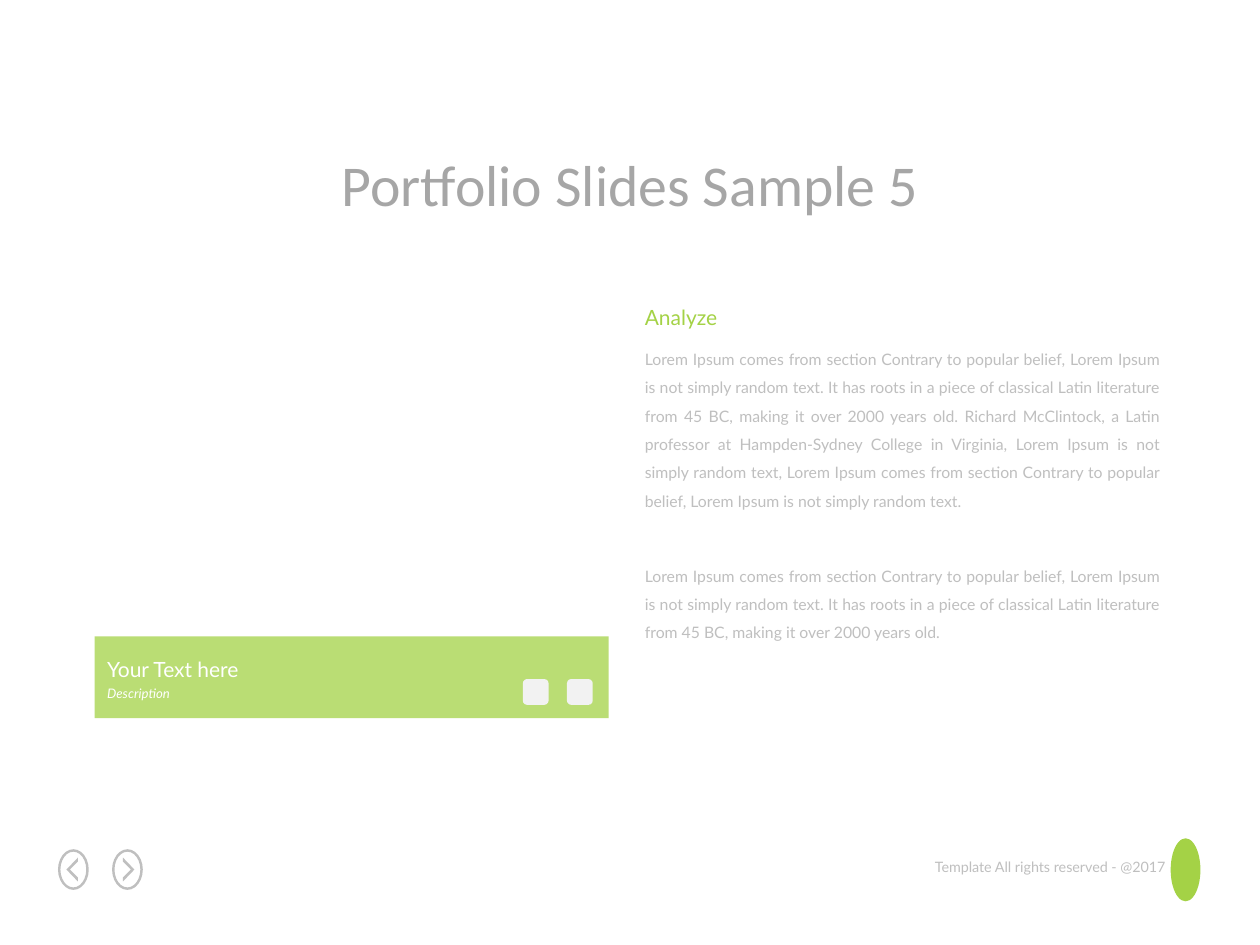
from pptx import Presentation
from pptx.dml.color import RGBColor
from pptx.enum.shapes import MSO_SHAPE as SHAPE
from pptx.enum.text import MSO_ANCHOR as ANCHOR, PP_ALIGN as ALIGN
from pptx.oxml.ns import qn
from pptx.util import Cm, Pt
from lxml import etree

GREEN, GREY, WHITE = "A4D246", "BFBFBF", "FFFFFF"

prs = Presentation()
prs.slide_width, prs.slide_height = Cm(25.4), Cm(19.05)
s = prs.slides.add_slide(prs.slide_layouts[5])


def write(text, x, y, w, h, sp=None, size=9, color=GREY, font="Lato",
          align=ALIGN.LEFT, spacing=1.0, wrap=False, italic=False):
    """Write text in a placeholder, or in a new text box."""
    sp = sp or s.shapes.add_textbox(0, 0, 0, 0)
    sp.left, sp.top, sp.width, sp.height = Cm(x), Cm(y), Cm(w), Cm(h)
    tf = sp.text_frame
    tf.word_wrap = wrap
    tf.vertical_anchor = ANCHOR.TOP
    p = tf.paragraphs[0]
    p.alignment, p.line_spacing = align, spacing
    r = p.add_run()
    r.text = text
    r.font.name, r.font.size, r.font.italic = font, Pt(size), italic
    r.font.color.rgb = RGBColor.from_string(color)


def paint(sp, color):
    """Give a shape a plain fill without line or shadow."""
    sp.shadow.inherit = False
    sp.fill.solid()
    sp.fill.fore_color.rgb = RGBColor.from_string(color)
    sp.line.fill.background()
    return sp


# Footer
write("Template All rights reserved - @2017", 18.42, 17.17, 5.33, 0.61,
      size=8.2, align=ALIGN.RIGHT)

# Navigation buttons: a ring with an arrow pointing left or right
mid = 17.53
for cx, d in ((1.48, -1), (2.57, 1)):
    ring = s.shapes.add_shape(SHAPE.DONUT, Cm(cx - 0.31), Cm(mid - 0.41),
                              Cm(0.62), Cm(0.82))
    ring.adjustments[0] = 0.08
    paint(ring, GREY)
    back, inner, tip = cx - 0.09 * d, cx + 0.07 * d, cx + 0.14 * d
    pts = [(Cm(x), Cm(mid + dy)) for x, dy in (
        (back, -0.16), (inner, 0), (back, 0.16),
        (back, 0.24), (tip, 0), (back, -0.24))]
    fb = s.shapes.build_freeform(*pts[0])
    fb.add_line_segments(pts[1:])
    paint(fb.convert_to_shape(), GREY)

# Emblem
paint(s.shapes.add_shape(SHAPE.OVAL, Cm(23.6), Cm(16.9), Cm(0.6), Cm(1.27)), GREEN)

# Title
write("Portfolio Slides Sample 5", 6.12, 2.87, 13.16, 1.68, sp=s.shapes.title,
      size=33, color="A6A6A6", font="Calibri", align=ALIGN.CENTER)

# Text column
write("Analyze", 12.75, 6.02, 2.01, 0.76, size=12, color=GREEN)
intro = ("Lorem Ipsum comes from section Contrary to popular belief, Lorem Ipsum "
         "is not simply random text. It has roots in a piece of classical Latin "
         "literature from 45 BC, making it over 2000 years old.")
more = (" Richard McClintock, a Latin professor at Hampden-Sydney College in "
        "Virginia, Lorem Ipsum is not simply random text, Lorem Ipsum comes from "
        "section Contrary to popular belief, Lorem Ipsum is not simply random text.")
for text, y, h in ((intro + more, 6.73, 3.71), (intro, 11.1, 1.98)):
    write(text, 12.75, y, 10.87, h, align=ALIGN.JUSTIFY, spacing=1.5, wrap=True)

# Caption band, 75 % opaque
band = paint(s.shapes.add_shape(SHAPE.RECTANGLE, Cm(1.91), Cm(12.83),
                                Cm(10.36), Cm(1.65)), GREEN)
clr = band.fill._xPr.find(qn("a:solidFill"))[0]
etree.SubElement(clr, qn("a:alpha")).set("val", "75000")
write("Your Text here", 1.91, 13.11, 3.33, 0.76, size=12, color=WHITE)
write("Description", 1.91, 13.69, 1.8, 0.58, size=7.5, color=WHITE, italic=True)

# Icon tiles
for x in (10.54, 11.43):
    paint(s.shapes.add_shape(SHAPE.ROUNDED_RECTANGLE, Cm(x), Cm(13.69),
                             Cm(0.52), Cm(0.52)), "F2F2F2")

prs.save("out.pptx")
